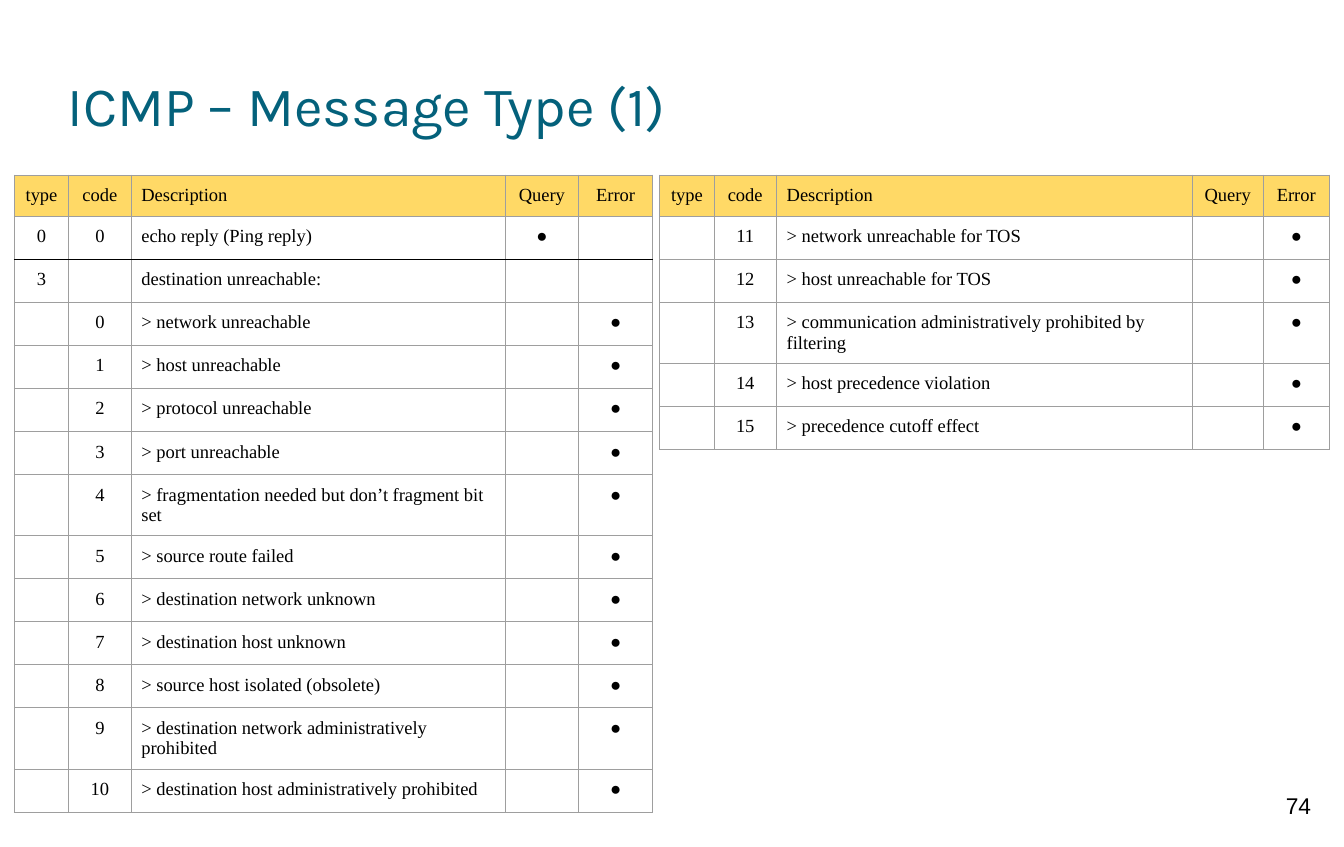
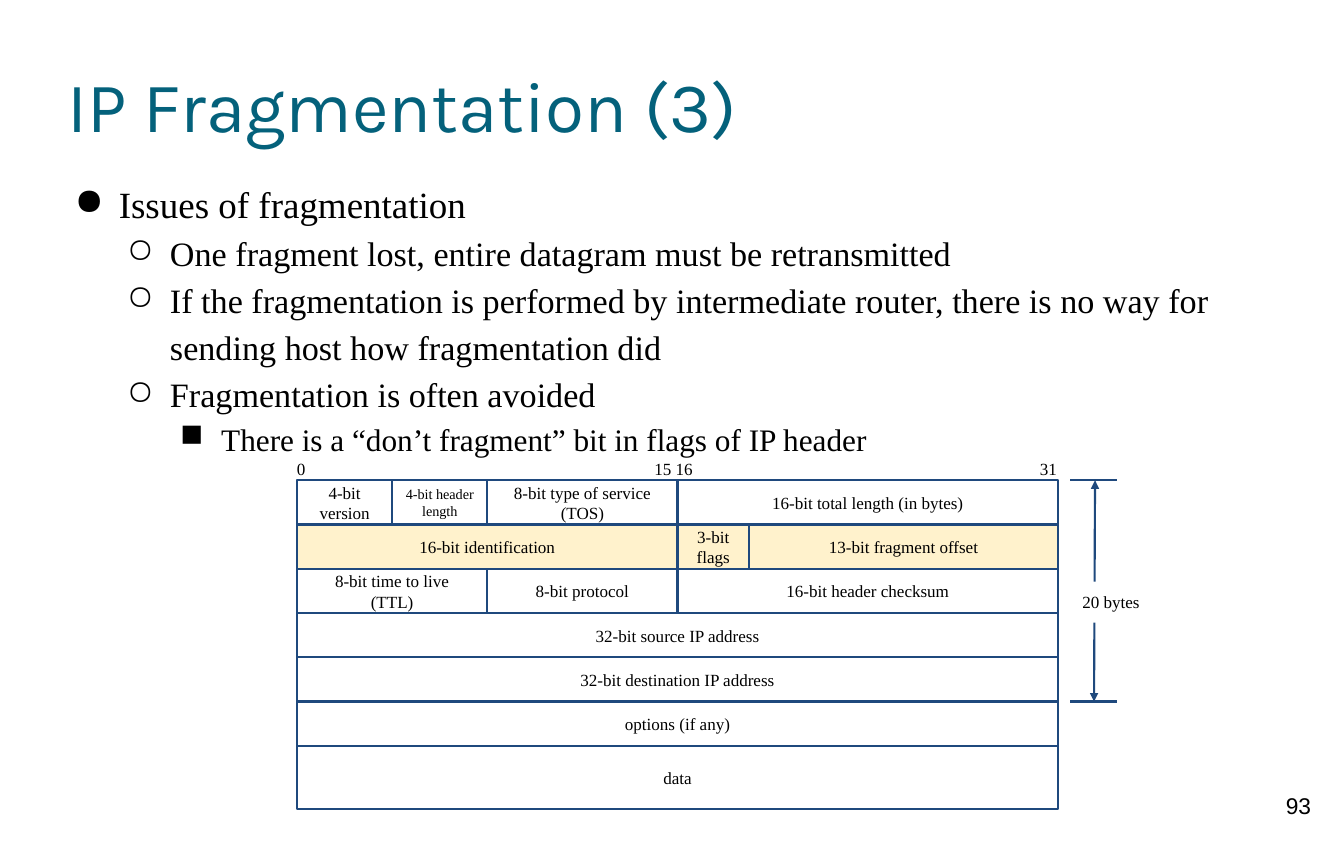
import lxml.etree
import pptx
import pptx.dml.color
import pptx.enum.shapes
import pptx.enum.text
import pptx.oxml
import pptx.oxml.ns
import pptx.util

Inches = pptx.util.Inches
Align = pptx.enum.text.PP_ALIGN
Anchor = pptx.enum.text.MSO_ANCHOR
qn = pptx.oxml.ns.qn

SERIF = "Times New Roman"
BLACK, WHITE = "000000", "FFFFFF"
TITLE_COLOR, NAVY = "04617B", "1F497D"
GOLD, CREAM, GRID = "FFD966", "FFF2CC", "9E9E9E"
DOT = "●"


def rgb(color):
    return pptx.dml.color.RGBColor.from_string(color)


def apply(target, values):
    for name, value in values.items():
        setattr(target, name, value)


def add_xml(parent, tag, **attributes):
    return lxml.etree.SubElement(parent, qn(tag), attributes)


class SlideBuilder:
    """Holds the shared style and the slide being filled."""

    def __init__(self):
        self.deck = pptx.Presentation()
        apply(self.deck, {"slide_width": Inches(13.12), "slide_height": Inches(8.27)})
        self.slide = None

    def start(self, title, size, number):
        self.slide = self.deck.slides.add_slide(self.deck.slide_layouts[5])
        heading = self.slide.shapes.title
        apply(heading, {"left": Inches(0.66), "top": Inches(0.33),
                        "width": Inches(11.81), "height": Inches(1.38)})
        self.frame(heading, inset=0, anchor=Anchor.MIDDLE)
        self.fill_para(heading.text_frame.paragraphs[0], title, size, "Karla", TITLE_COLOR)
        self.text(number, 12.28, 7.63, 0.79, 0.63, size=16, font="Arial")

    def frame(self, box, inset=0.1, anchor=Anchor.TOP):
        margin = Inches(inset)
        apply(box.text_frame, {
            "word_wrap": True, "auto_size": pptx.enum.text.MSO_AUTO_SIZE.NONE,
            "vertical_anchor": anchor, "margin_left": margin, "margin_right": margin,
            "margin_top": margin, "margin_bottom": margin})

    def fill_para(self, para, words, size, font=SERIF, color=BLACK, align=Align.LEFT):
        para.alignment = align
        para.text = words.replace("\n", "\v")
        for span in para.runs:
            apply(span.font, {"size": pptx.util.Pt(size), "name": font, "bold": False})
            span.font.color.rgb = rgb(color)

    def text(self, words, left, top, width, height, size=12, font=SERIF, align=Align.CENTER):
        box = self.slide.shapes.add_textbox(*map(Inches, (left, top, width, height)))
        self.frame(box)
        self.fill_para(box.text_frame.paragraphs[0], words, size, font, align=align)

    def box(self, words, left, top, width, height, size=12, fill=None, line=NAVY,
            anchor=Anchor.MIDDLE):
        box = self.slide.shapes.add_shape(pptx.enum.shapes.MSO_SHAPE.RECTANGLE,
                                          *map(Inches, (left, top, width, height)))
        box.shadow.inherit = False
        if fill:
            box.fill.solid()
            box.fill.fore_color.rgb = rgb(fill)
        else:
            box.fill.background()
        if line:
            box.line.color.rgb = rgb(line)
            box.line.width = pptx.util.Pt(1.5)
        else:
            box.line.fill.background()
        self.frame(box, anchor=anchor)
        self.fill_para(box.text_frame.paragraphs[0], words, size, align=Align.CENTER)

    def line(self, start, end, arrows=False):
        line = self.slide.shapes.add_connector(pptx.enum.shapes.MSO_CONNECTOR.STRAIGHT,
                                               *map(Inches, start + end))
        line.line.color.rgb = rgb(NAVY)
        line.line.width = pptx.util.Pt(1.5)
        if arrows:
            outline = line._element.spPr.get_or_add_ln()
            for tag in ("a:headEnd", "a:tailEnd"):
                add_xml(outline, tag, type="triangle")
        add_xml(line._element.spPr, "a:effectLst")

    def bullets(self, items, left, top, width, height):
        styles = [(26, DOT, 0.5, 0.43), (24, "○", 1, 0.42), (22, "■", 1.5, 0.4)]
        box = self.slide.shapes.add_textbox(*map(Inches, (left, top, width, height)))
        self.frame(box, inset=0)
        body = box.text_frame
        for index, (level, words) in enumerate(items):
            size, mark, indent, hang = styles[level]
            para = body.add_paragraph() if index else body.paragraphs[0]
            self.fill_para(para, words, size)
            apply(para, {"level": level, "line_spacing": 1.15})
            settings = para._p.get_or_add_pPr()
            settings.set("marL", str(Inches(indent)))
            settings.set("indent", str(-Inches(hang)))
            add_xml(add_xml(settings, "a:buClr"), "a:srgbClr", val=BLACK)
            add_xml(settings, "a:buChar", char=mark)

    def cell(self, cell, words, align, fill, edges):
        margin = Inches(0.1)
        apply(cell, {"margin_left": margin, "margin_right": margin,
                     "margin_top": margin, "margin_bottom": margin})
        para = cell.text_frame.paragraphs[0]
        if words:
            self.fill_para(para, words, 13, align=align)
        else:
            add_xml(para._p, "a:endParaRPr", sz="1300")
        # Borders come before the fill in the cell settings
        settings = cell._tc.get_or_add_tcPr()
        for side in "LRTB":
            border = add_xml(settings, f"a:ln{side}", w=str(pptx.util.Pt(0.75)))
            add_xml(add_xml(border, "a:solidFill"), "a:srgbClr", val=edges.get(side, GRID))
        if fill:
            cell.fill.solid()
            cell.fill.fore_color.rgb = rgb(fill)
        else:
            cell.fill.background()

    def table(self, rows, left, top, widths, row_height, dark_below=None):
        rows = [("type", "code", "Description", "Query", "Error")] + rows
        grid = self.slide.shapes.add_table(
            len(rows), len(widths), Inches(left), Inches(top),
            Inches(sum(widths)), Inches(row_height * len(rows))).table
        apply(grid, {"first_row": False, "horz_banding": False})
        for column, width in zip(grid.columns, widths):
            column.width = Inches(width)
        for y, values in enumerate(rows):
            grid.rows[y].height = Inches(row_height)
            edges = {}
            if dark_below is not None:
                edges = {dark_below: {"B": BLACK}, dark_below + 1: {"T": BLACK}}.get(y, {})
            for x, words in enumerate(values):
                self.cell(grid.cell(y, x), words, Align.LEFT if x == 2 else Align.CENTER,
                          None if y else GOLD, edges)


def error_rows(first_code, descriptions):
    return [("", str(code), f"> {words}", "", DOT)
            for code, words in enumerate(descriptions, first_code)]


def message_types(builder):
    builder.start("ICMP – Message Type (1)", 39, "74")
    first_rows = [("0", "0", "echo reply (Ping reply)", DOT, ""),
                  ("3", "", "destination unreachable:", "", "")]
    first_rows += error_rows(0, [
        "network unreachable", "host unreachable", "protocol unreachable",
        "port unreachable", "fragmentation needed but don’t fragment bit set",
        "source route failed", "destination network unknown",
        "destination host unknown", "source host isolated (obsolete)",
        "destination network administratively prohibited",
        "destination host administratively prohibited"])
    builder.table(first_rows, 0.14, 1.71, [0.53, 0.61, 3.65, 0.72, 0.72], 0.4, dark_below=1)
    more_rows = error_rows(11, [
        "network unreachable for TOS", "host unreachable for TOS",
        "communication administratively prohibited by filtering",
        "host precedence violation", "precedence cutoff effect"])
    builder.table(more_rows, 6.44, 1.71, [0.53, 0.61, 4.06, 0.69, 0.65], 0.39)


def fragmentation(builder):
    builder.start("IP Fragmentation (3)", 50, "93")
    builder.bullets([
        (0, "Issues of fragmentation"),
        (1, "One fragment lost, entire datagram must be retransmitted"),
        (1, "If the fragmentation is performed by intermediate router, there is no way for "
            "sending host how fragmentation did"),
        (1, "Fragmentation is often avoided"),
        (2, "There is a “don’t fragment” bit in flags of IP header"),
    ], 0.66, 1.71, 11.84, 2.73)

    # Header fields: width in bits, label
    left, top, bottom = 2.9, 4.69, 6.85
    bit, row_height = 7.43 / 32, (bottom - top) / 5
    header = [
        [(4, "4-bit\nversion"), (4, "4-bit header\nlength"),
         (8, "8-bit type of service\n(TOS)"), (16, "16-bit total length (in bytes)")],
        [(16, "16-bit identification"), (3, "3-bit flags"), (13, "13-bit fragment offset")],
        [(8, "8-bit time to live\n(TTL)"), (8, "8-bit protocol"),
         (16, "16-bit header checksum")],
        [(32, "32-bit source IP address")],
        [(32, "32-bit destination IP address")],
        [(32, "options (if any)")],
        [(32, "data")],
    ]
    for index, fields in enumerate(header):
        offset = 0
        for bits, label in fields:
            builder.box(label, left + offset * bit, top + index * row_height, bits * bit,
                        0.62 if label == "data" else row_height,
                        size=10 if "header\n" in label else 12,
                        fill=CREAM if index == 1 else None)
            offset += bits

    # Bit positions
    for label, label_left, width, align in [("0", 2.8, 0.21, Align.LEFT),
                                            ("15 16", 6.11, 0.93, Align.CENTER),
                                            ("31", 9.96, 0.55, Align.CENTER)]:
        builder.text(label, label_left, 4.38, width, 0.4, align=align)

    # Size of the fixed part
    for y in (top, bottom):
        builder.line((10.45, y), (10.9, y))
    builder.line((10.69, top), (10.68, bottom), arrows=True)
    builder.box("20 bytes", 10.45, 5.68, 0.79, 0.4, fill=WHITE, line=None, anchor=Anchor.TOP)


def main():
    builder = SlideBuilder()
    message_types(builder)
    fragmentation(builder)
    builder.deck.save("out.pptx")


if __name__ == "__main__":
    main()
